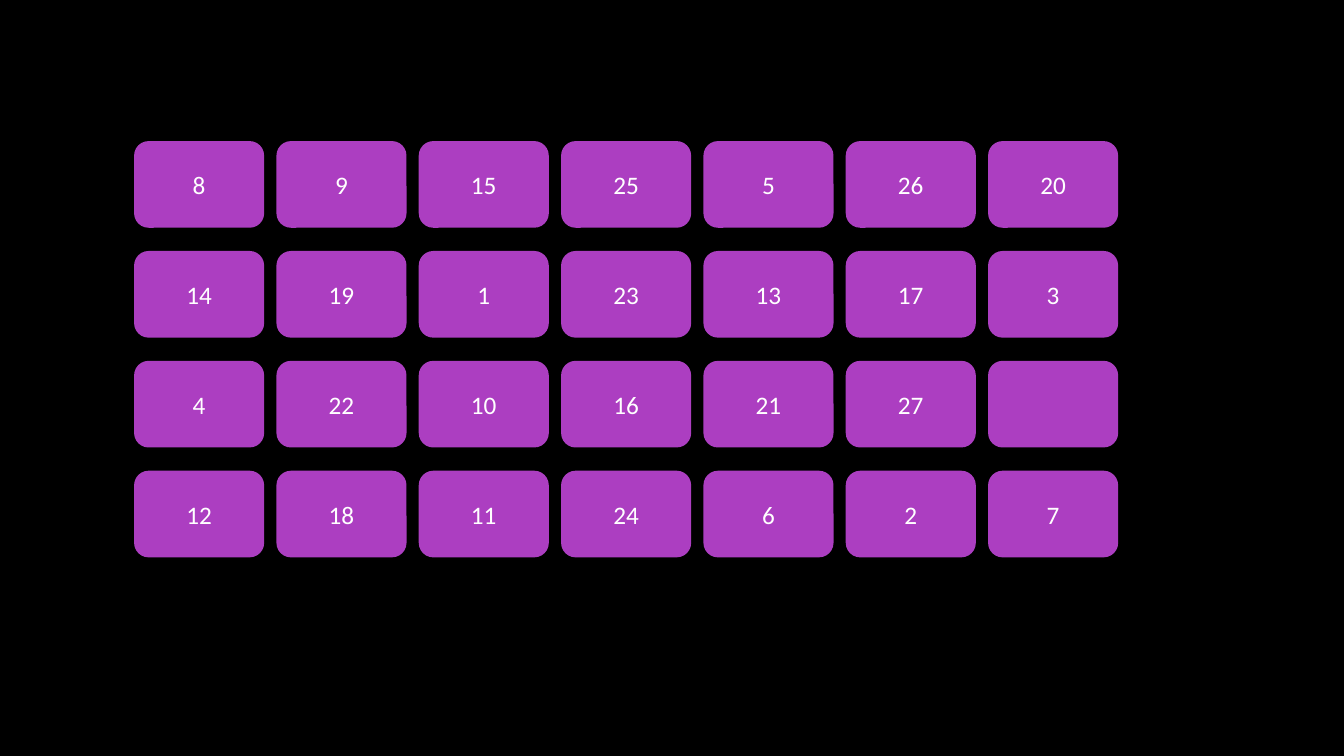
from dataclasses import dataclass

from pptx import Presentation
from pptx.dml.color import RGBColor
from pptx.enum.shapes import MSO_SHAPE
from pptx.enum.text import MSO_ANCHOR, PP_ALIGN
from pptx.oxml import parse_xml
from pptx.oxml.ns import nsdecls
from pptx.util import Pt

PX = 9144  # EMU per px, 100 px to the inch


@dataclass(frozen=True)
class Theme:
    background: RGBColor = RGBColor(0x00, 0x00, 0x00)
    tile: RGBColor = RGBColor(0xAC, 0x3E, 0xC1)
    text: RGBColor = RGBColor(0xFF, 0xFF, 0xFF)
    shadow: str = "000000"
    font: str = "Calibri"
    size: Pt = Pt(18)


theme = Theme()


def px(n):
    return round(n * PX)


def add_shadow(sp):
    sp.shadow.inherit = False
    effects = sp._element.spPr.find("{*}effectLst")
    effects.append(parse_xml(
        f'<a:outerShdw {nsdecls("a")} blurRad="{Pt(15)}" dist="{Pt(18)}" '
        f'dir="2700000" algn="tl" rotWithShape="0"><a:srgbClr val="{theme.shadow}">'
        '<a:alpha val="30000"/></a:srgbClr></a:outerShdw>'))


prs = Presentation()
prs.slide_width, prs.slide_height = px(1333), px(750)
slide = prs.slides.add_slide(prs.slide_layouts[6])

# Background
fill = slide.background.fill
fill.solid()
fill.fore_color.rgb = theme.background

# Number grid, spread evenly between its outer edges
numbers = [
    ["8", "9", "15", "25", "5", "26", "20"],
    ["14", "19", "1", "23", "13", "17", "3"],
    ["4", "22", "10", "16", "21", "27", ""],
    ["12", "18", "11", "24", "6", "2", "7"],
]
left, top, right, bottom = 133, 140, 1109, 553
tile_w, tile_h = 129, 86
step_x = (right - left - tile_w) / (len(numbers[0]) - 1)
step_y = (bottom - top - tile_h) / (len(numbers) - 1)

for row, values in enumerate(numbers):
    for col, value in enumerate(values):
        sp = slide.shapes.add_shape(
            MSO_SHAPE.ROUNDED_RECTANGLE,
            px(left + col * step_x), px(top + row * step_y), px(tile_w), px(tile_h))
        sp.fill.solid()
        sp.fill.fore_color.rgb = theme.tile
        sp.line.fill.background()
        add_shadow(sp)
        if not value:
            continue
        tf = sp.text_frame
        tf.vertical_anchor = MSO_ANCHOR.MIDDLE
        tf.text = value
        p = tf.paragraphs[0]
        p.alignment = PP_ALIGN.CENTER
        font = p.runs[0].font
        font.name, font.size = theme.font, theme.size
        font.color.rgb = theme.text

prs.save("out.pptx")
